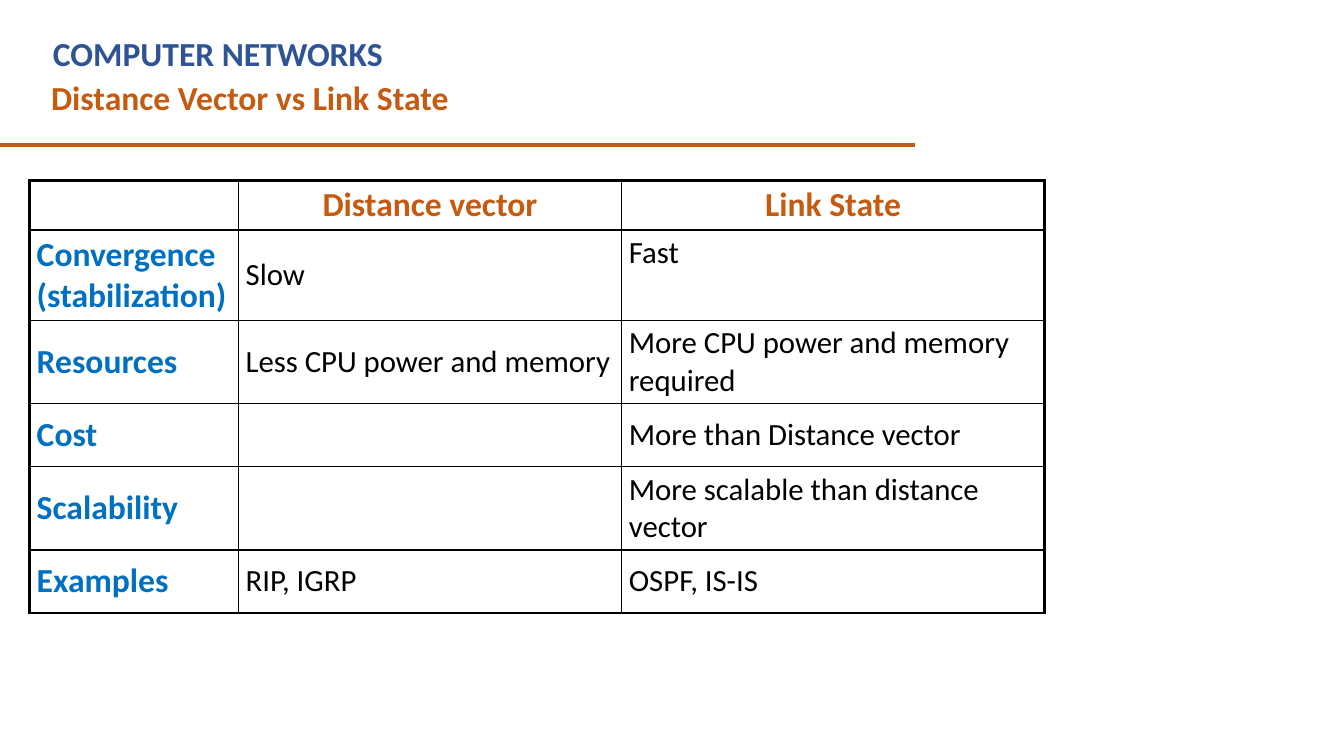
from lxml.etree import SubElement
from pptx import Presentation
from pptx.dml.color import RGBColor
from pptx.enum.shapes import MSO_CONNECTOR
from pptx.enum.text import MSO_ANCHOR, MSO_AUTO_SIZE, PP_ALIGN
from pptx.oxml.ns import qn
from pptx.util import Pt

PX = 9525
FONT = "Calibri"
COLORS = {
    "navy": "2F5496",
    "rust": "C55A11",
    "blue": "0070C0",
    "black": "000000",
}
COLS = [199, 365, 403]
HEIGHTS = [46, 84, 77, 60, 78, 60]
ROWS = [
    ["", "Distance vector", "Link State"],
    ["Convergence (stabilization)", "Slow", "Fast"],
    ["Resources", "Less CPU power and memory", "More CPU power and memory required"],
    ["Cost", "", "More than Distance vector"],
    ["Scalability", "", "More scalable than distance vector"],
    ["Examples", "RIP, IGRP", "OSPF, IS-IS"],
]


def px(*sizes):
    return [size * PX for size in sizes]


def style(para, color, size=24, bold=True, align=PP_ALIGN.LEFT):
    para.alignment = align
    font = para.font
    font.name, font.size, font.bold = FONT, Pt(size), bold
    font.color.rgb = RGBColor.from_string(COLORS[color])


def fill_box(shape, box, text, color):
    shape.left, shape.top, shape.width, shape.height = px(*box)
    frame = shape.text_frame
    frame.word_wrap = True
    frame.auto_size = MSO_AUTO_SIZE.NONE
    frame.vertical_anchor = MSO_ANCHOR.TOP
    frame.text = text
    style(frame.paragraphs[0], color)


def add_header(slide, left, top, width):
    course = slide.shapes.add_textbox(0, 0, 0, 0)
    fill_box(course, (left + 2, top, width - 53, 48), "COMPUTER NETWORKS", "navy")
    fill_box(slide.shapes.title, (left, top + 41, width, 48),
             "Distance Vector vs Link State", "rust")
    rule = slide.shapes.add_connector(
        MSO_CONNECTOR.STRAIGHT, *px(0, top + 111, 871, top + 111))
    rule.line.color.rgb = RGBColor.from_string(COLORS["rust"])
    rule.line.width = Pt(3)
    SubElement(rule._element.spPr, qn("a:effectLst"))


def add_borders(cell, row, col):
    """Draw thick lines on the table's outer edge and thin ones inside."""
    outer = {
        "lnL": col == 0,
        "lnR": col == len(COLS) - 1,
        "lnT": row == 0,
        "lnB": row == len(ROWS) - 1,
    }
    props = cell._tc.get_or_add_tcPr()
    for side, thick in outer.items():
        line = SubElement(props, qn(f"a:{side}"), w=str(Pt(2.25 if thick else 1)))
        fill = SubElement(line, qn("a:solidFill"))
        SubElement(fill, qn("a:srgbClr"), val=COLORS["black"])


def fill_cell(cell, row, col):
    text = ROWS[row][col]
    cell.margin_left, cell.margin_right, cell.margin_top, cell.margin_bottom = px(7, 7, 4, 4)
    top = row == 0 or text == "Fast"
    cell.vertical_anchor = MSO_ANCHOR.TOP if top else MSO_ANCHOR.MIDDLE
    add_borders(cell, row, col)
    cell.fill.background()
    cell.text = text
    para = cell.text_frame.paragraphs[0]
    if row == 0:
        style(para, "rust", align=PP_ALIGN.CENTER)
    elif col == 0:
        style(para, "blue")
    else:
        style(para, "black", 22, False)


def add_grid(slide, left, top):
    frame = slide.shapes.add_table(
        len(ROWS), len(COLS), *px(left, top, sum(COLS), sum(HEIGHTS)))
    table = frame.table
    table.first_row = table.horz_banding = False
    for col, width in zip(table.columns, COLS):
        col.width = width * PX
    for row, height in enumerate(HEIGHTS):
        table.rows[row].height = height * PX
        for col in range(len(COLS)):
            fill_cell(table.cell(row, col), row, col)


def main():
    deck = Presentation()
    deck.slide_width, deck.slide_height = px(1280, 720)
    slide = deck.slides.add_slide(deck.slide_layouts[5])
    add_header(slide, 39, 27, 840)
    add_grid(slide, 28, 172)
    deck.save("out.pptx")


if __name__ == "__main__":
    main()
